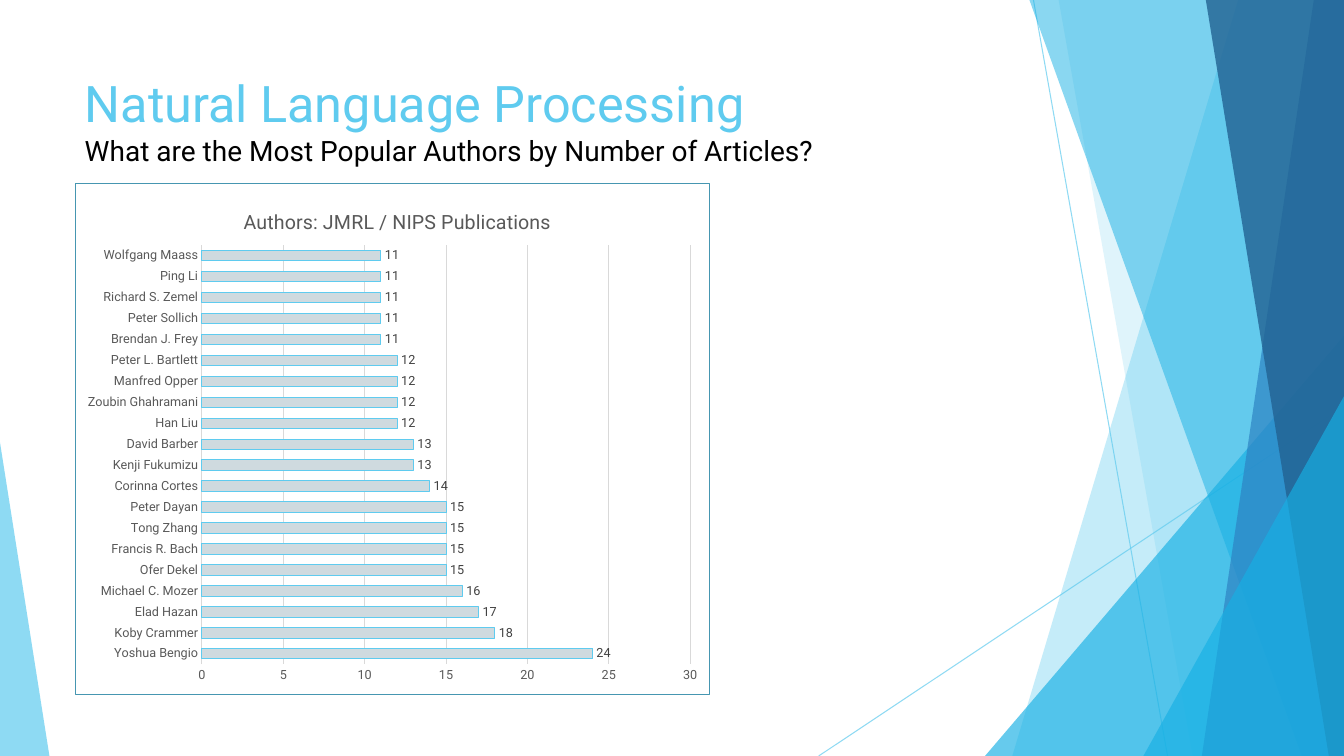
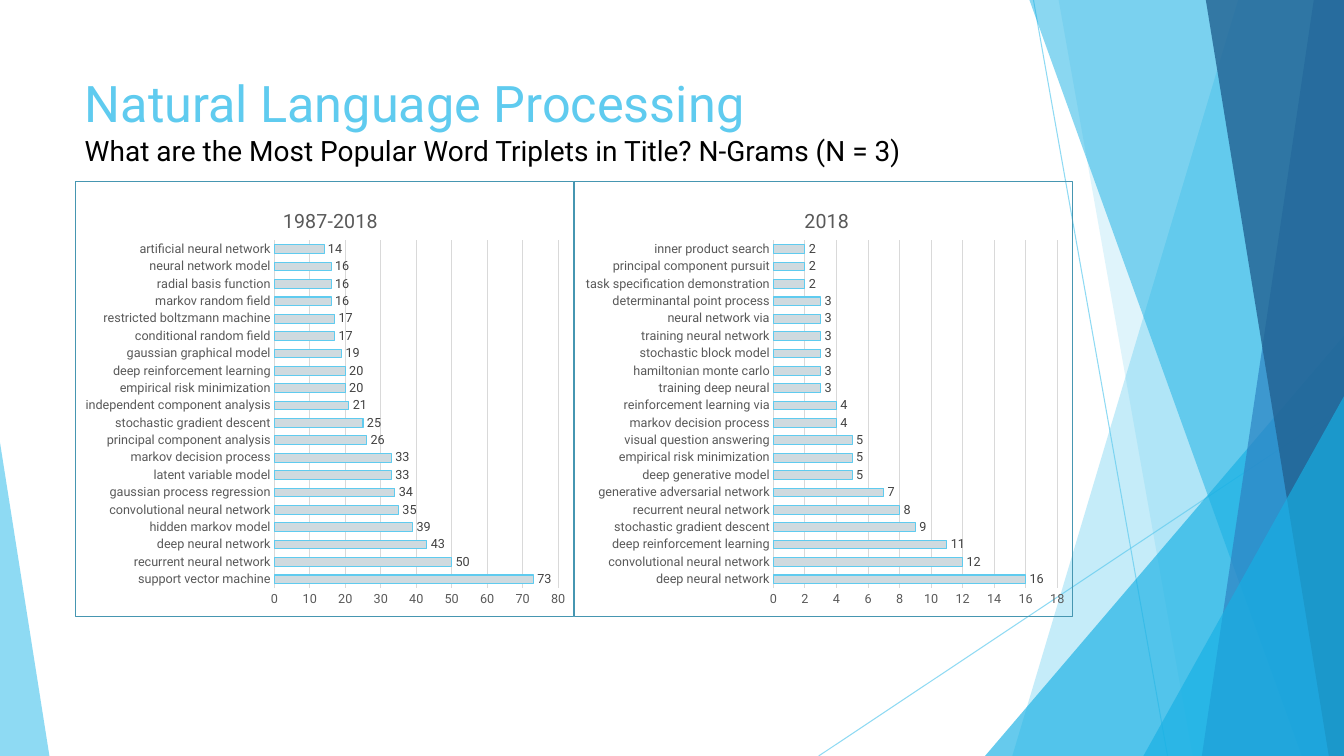
from pptx import Presentation
from pptx.chart.data import CategoryChartData
from pptx.dml.color import RGBColor
from pptx.enum.chart import XL_CHART_TYPE, XL_LABEL_POSITION, XL_TICK_MARK
from pptx.enum.shapes import MSO_CONNECTOR, MSO_SHAPE
from pptx.enum.text import MSO_ANCHOR, MSO_AUTO_SIZE, PP_ALIGN
from pptx.oxml import parse_xml
from pptx.oxml.ns import nsdecls, qn
from pptx.oxml.xmlchemy import OxmlElement
from pptx.util import Inches, Pt

FONT = "Roboto"
SKY, CYAN, BLUE, NAVY = "5FCBEF", "17B0E4", "2E83C3", "226292"
BLACK, LABEL_GRAY, AXIS_GRAY, GRID_GRAY = "000000", "404040", "595959", "D9D9D9"
BAR_FILL, CHART_BORDER = "CFDADF", "4696B1"
WIDTH, HEIGHT = 13.33, 7.5


def paint(fill, color, opacity=100):
    """Set a solid colour on a shape, line or font fill."""
    fill.solid()
    fill.fore_color.rgb = RGBColor.from_string(color)
    if opacity < 100:
        alpha = OxmlElement("a:alpha")
        alpha.set("val", str(opacity * 1000))
        fill._xPr.find(qn("a:solidFill"))[0].append(alpha)


def place(element, position, **fractions):
    """Give a chart title or plot area a fixed place within its chart."""
    layout = element.find(qn("c:layout"))
    if layout is None:
        layout = OxmlElement("c:layout")
        element.insert(position, layout)
    manual = OxmlElement("c:manualLayout")
    layout.append(manual)
    settings = {"xMode": "edge", "yMode": "edge", **fractions}
    if "w" in fractions:
        settings = {"layoutTarget": "inner", **settings}
    for name, value in settings.items():
        setting = OxmlElement(f"c:{name}")
        setting.set("val", str(value))
        manual.append(setting)


deck = Presentation()
deck.slide_width, deck.slide_height = Inches(WIDTH), Inches(HEIGHT)
title_only = deck.slide_layouts[5]

# Shared title style
heading = title_only.placeholders[0]
heading.left, heading.top = Inches(0.74), Inches(0.67)
heading.width, heading.height = Inches(9.4), Inches(1.44)
heading.text_frame.vertical_anchor = MSO_ANCHOR.TOP
heading.text_frame.auto_size = MSO_AUTO_SIZE.NONE
heading.text_frame.word_wrap = True

# Shared decoration, from back to front
LINES = [(10.25, 0, 11.58, HEIGHT), (WIDTH, 4.03, 8.12, HEIGHT)]
# Bands reach the right edge: top left x, bottom left x, colour, opacity
# Triangles: left, top, width, height, apex, colour, opacity
DECORATION = [
    (12.28, 10.04, SKY, 36),
    (10.5, 11.83, SKY, 20),
    (9.77, 3.33, 3.56, 4.17, 1, CYAN, 66),
    (10.21, 12.91, CYAN, 50),
    (13.03, 11.92, BLUE, 70),
    (11.96, 13.18, NAVY, 80),
    (11.34, 3.93, 1.99, 3.57, 1, CYAN, 66),
    (0, 4.39, 0.49, 3.11, 0, SKY, 70),
]
first_page = deck.slides.add_slide(title_only)
decoration = []
for ends in LINES:
    line = first_page.shapes.add_connector(MSO_CONNECTOR.STRAIGHT, *map(Inches, ends))
    line.line.width = Pt(0.75)
    paint(line.line.fill, SKY, 70)
    line.element.spPr.append(OxmlElement("a:effectLst"))
    decoration.append(line)
for *geometry, color, opacity in DECORATION:
    if len(geometry) == 2:
        top_x, bottom_x = geometry
        builder = first_page.shapes.build_freeform(Inches(top_x), 0, scale=1.0)
        corners = [(WIDTH, 0), (WIDTH, HEIGHT), (bottom_x, HEIGHT)]
        builder.add_line_segments([(Inches(x), Inches(y)) for x, y in corners])
        shape = builder.convert_to_shape()
    else:
        *box, apex = geometry
        shape = first_page.shapes.add_shape(
            MSO_SHAPE.ISOSCELES_TRIANGLE, *map(Inches, box))
        shape.adjustments[0] = apex
    shape.shadow.inherit = False
    shape.line.fill.background()
    paint(shape.fill, color, opacity)
    decoration.append(shape)

# Move the decoration to the layout, behind its placeholders
for index, shape in enumerate(decoration):
    shape.element.xpath(".//p:cNvPr")[0].set("id", str(20 + index))
    title_only.shapes.element.insert(2 + index, shape.element)

# Content: question and charts of each page
PAGES = [
    ("What are the Most Popular Authors by Number of Articles?", [
        {"title": "Authors: JMRL / NIPS Publications",
         "box": (0.74, 1.82, 6.3, 5.08), "scale": (30, 5),
         "title_at": {"x": 0.26, "y": 0.04},
         "plot_at": {"x": 0.2, "y": 0.12, "w": 0.77, "h": 0.82},
         "bars": [
             ("Yoshua Bengio", 24), ("Koby Crammer", 18), ("Elad Hazan", 17),
             ("Michael C. Mozer", 16), ("Ofer Dekel", 15), ("Francis R. Bach", 15),
             ("Tong Zhang", 15), ("Peter Dayan", 15), ("Corinna Cortes", 14),
             ("Kenji Fukumizu", 13), ("David Barber", 13), ("Han Liu", 12),
             ("Zoubin Ghahramani", 12), ("Manfred Opper", 12),
             ("Peter L. Bartlett", 12), ("Brendan J. Frey", 11),
             ("Peter Sollich", 11), ("Richard S. Zemel", 11), ("Ping Li", 11),
             ("Wolfgang Maass", 11)]},
    ]),
    ("What are the Most Popular Word Triplets in Title? N-Grams (N = 3)", [
        {"title": "1987-2018",
         "box": (0.74, 1.8, 4.95, 4.32), "scale": (80, 10),
         "title_at": {"x": 0.41, "y": 0.05},
         "plot_at": {"x": 0.4, "y": 0.135, "w": 0.57, "h": 0.8},
         "bars": [
             ("support vector machine", 73), ("recurrent neural network", 50),
             ("deep neural network", 43), ("hidden markov model", 39),
             ("convolutional neural network", 35),
             ("gaussian process regression", 34), ("latent variable model", 33),
             ("markov decision process", 33), ("principal component analysis", 26),
             ("stochastic gradient descent", 25),
             ("independent component analysis", 21),
             ("empirical risk minimization", 20),
             ("deep reinforcement learning", 20), ("gaussian graphical model", 19),
             ("conditional random field", 17),
             ("restricted boltzmann machine", 17), ("markov random field", 16),
             ("radial basis function", 16), ("neural network model", 16),
             ("artificial neural network", 14)]},
        {"title": "2018",
         "box": (5.69, 1.8, 4.95, 4.32), "scale": (18, 2),
         "title_at": {"x": 0.455, "y": 0.05},
         "plot_at": {"x": 0.4, "y": 0.135, "w": 0.57, "h": 0.8},
         "bars": [
             ("deep neural network", 16), ("convolutional neural network", 12),
             ("deep reinforcement learning", 11),
             ("stochastic gradient descent", 9), ("recurrent neural network", 8),
             ("generative adversarial network", 7), ("deep generative model", 5),
             ("empirical risk minimization", 5), ("visual question answering", 5),
             ("markov decision process", 4), ("reinforcement learning via", 4),
             ("training deep neural", 3), ("hamiltonian monte carlo", 3),
             ("stochastic block model", 3), ("training neural network", 3),
             ("neural network via", 3), ("determinantal point process", 3),
             ("task specification demonstration", 2),
             ("principal component pursuit", 2), ("inner product search", 2)]},
    ]),
]

for number, (question, charts) in enumerate(PAGES):
    page = deck.slides.add_slide(title_only) if number else first_page

    # Title with the question below it
    para = page.shapes.title.text_frame.paragraphs[0]
    para.alignment = PP_ALIGN.LEFT
    for text, size, color in [("Natural Language Processing", 36, SKY),
                              (question, 20, BLACK)]:
        if para.runs:
            para.add_line_break()
        span = para.add_run()
        span.text = text
        span.font.name, span.font.size = FONT, Pt(size)
        paint(span.font.fill, color)

    for content in charts:
        # Bars
        data = CategoryChartData()
        data.categories = [name for name, count in content["bars"]]
        data.add_series("Series 1", [count for name, count in content["bars"]])
        chart = page.shapes.add_chart(
            XL_CHART_TYPE.BAR_CLUSTERED, *map(Inches, content["box"]), data).chart
        chart.has_legend = False
        plot = chart.plots[0]
        plot.gap_width, plot.overlap, plot.vary_by_categories = 100, 3, False
        bars = plot.series[0].format
        paint(bars.fill, BAR_FILL)
        paint(bars.line.fill, SKY)
        bars.line.width = Pt(0.75)

        # Chart title
        chart.has_title = True
        caption = chart.chart_title.text_frame.paragraphs[0]
        caption.text = content["title"]
        caption.font.bold = False

        # Labels and axes
        plot.has_data_labels = True
        labels = plot.data_labels
        labels.show_value = True
        labels.position = XL_LABEL_POSITION.OUTSIDE_END
        names, values = chart.category_axis, chart.value_axis
        for font, size, color in [
                (chart.font, 10, BLACK), (caption.font, 14, AXIS_GRAY),
                (labels.font, 9, LABEL_GRAY), (names.tick_labels.font, 9, AXIS_GRAY),
                (values.tick_labels.font, 9, AXIS_GRAY)]:
            font.name, font.size = FONT, Pt(size)
            paint(font.fill, color)
        for axis in (names, values):
            axis.major_tick_mark = axis.minor_tick_mark = XL_TICK_MARK.NONE
        values.minimum_scale = 0
        values.maximum_scale, values.major_unit = content["scale"]
        values.format.line.fill.background()
        for line in (names.format.line, values.major_gridlines.format.line):
            line.width = Pt(0.75)
            paint(line.fill, GRID_GRAY)

        # Border and fixed places
        chart_space = chart.element
        chart_space.find(qn("c:txPr")).addprevious(parse_xml(
            f'<c:spPr {nsdecls("c", "a")}><a:noFill/><a:ln w="{Pt(0.75)}"><a:solidFill>'
            f'<a:srgbClr val="{CHART_BORDER}"/></a:solidFill></a:ln></c:spPr>'))
        place(chart.chart_title.element, 1, **content["title_at"])
        place(chart_space.chart.plotArea, 0, **content["plot_at"])

deck.save("out.pptx")
